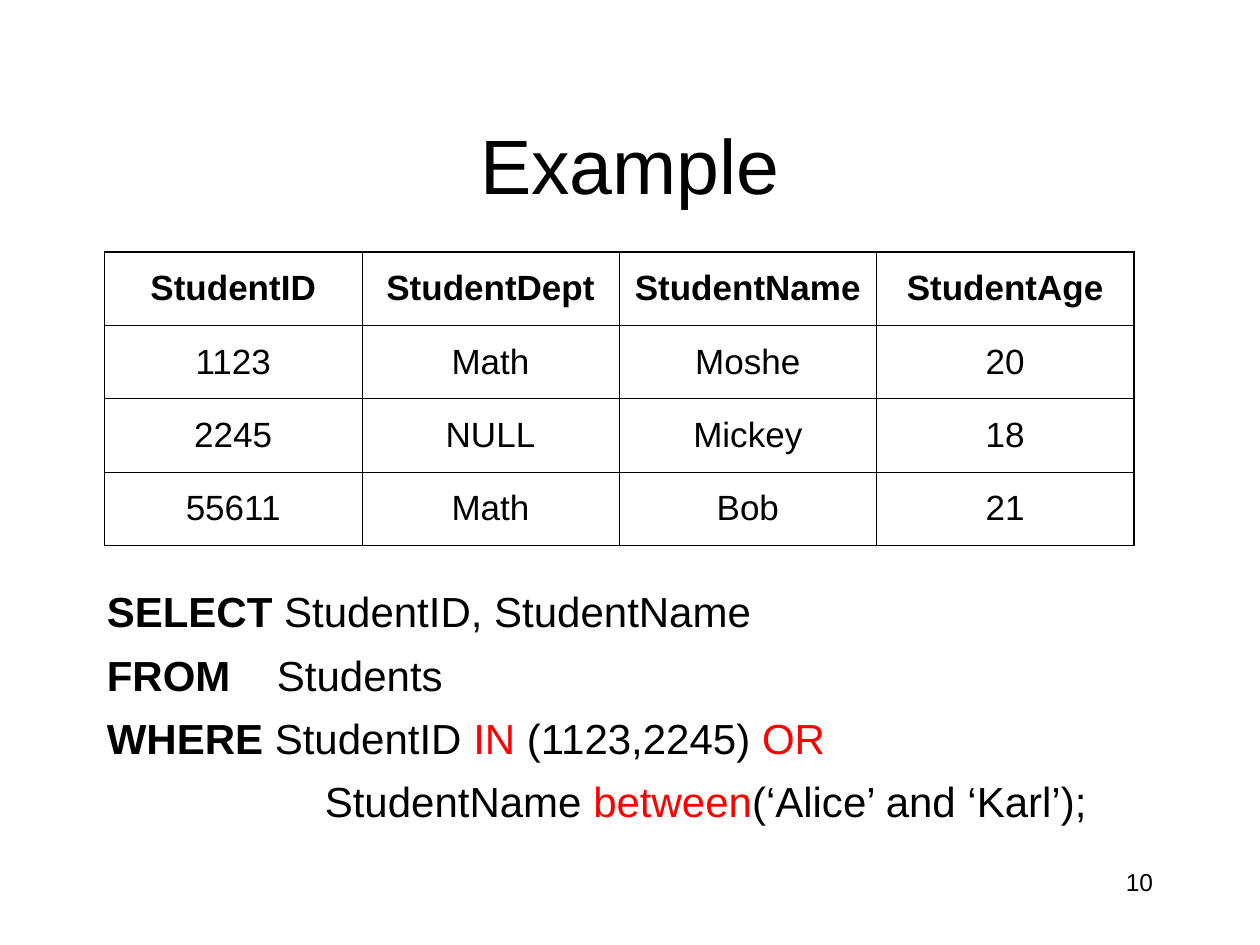
from lxml import etree
from pptx import Presentation
from pptx.dml.color import RGBColor
from pptx.enum.text import MSO_ANCHOR, PP_ALIGN
from pptx.oxml.ns import qn
from pptx.util import Inches, Pt

LEFT, CENTER, RIGHT = PP_ALIGN.LEFT, PP_ALIGN.CENTER, PP_ALIGN.RIGHT
TOP, MIDDLE = MSO_ANCHOR.TOP, MSO_ANCHOR.MIDDLE
BLACK, RED = "000000", "FF0000"
THIN, THICK = 0.45, 1.08


def color(value):
    return RGBColor.from_string(value)


def add_run(paragraph, text, size, bold=False, shade=BLACK):
    run = paragraph.add_run()
    run.text = text
    font_format = {"name": "Arial", "size": Pt(size), "bold": bold}
    for name, value in font_format.items():
        setattr(run.font, name, value)
    run.font.color.rgb = color(shade)


presentation = Presentation()
presentation.slide_width, presentation.slide_height = Inches(10), Inches(7.5)
slide = presentation.slides.add_slide(presentation.slide_layouts[6])

# Text boxes: place, anchor, and paragraphs of (text, bold, colour) runs
boxes = [
    ((7.17, 6.83, 2.08, 0.5), TOP, RIGHT, 14, [[("10", False, BLACK)]]),
    ((0.75, 0.67, 8.5, 1.25), MIDDLE, CENTER, 44, [[("Example", False, BLACK)]]),
    ((0.75, 4.6, 8.5, 2.07), TOP, LEFT, 24, [
        [("SELECT", True, BLACK), (" StudentID, StudentName", False, BLACK)],
        [("FROM", True, BLACK), ("\tStudents", False, BLACK)],
        [("WHERE", True, BLACK), (" StudentID ", False, BLACK), ("IN", False, RED),
         (" (1123,2245) ", False, BLACK), ("OR", False, RED)],
        [("StudentName ", False, BLACK), ("between", False, RED),
         ("(‘Alice’ and ‘Karl’);", False, BLACK)],
    ]),
]
for place, anchor, alignment, size, lines in boxes:
    frame = slide.shapes.add_textbox(*map(Inches, place)).text_frame
    frame.word_wrap = True
    frame.vertical_anchor = anchor
    for index, line in enumerate(lines):
        paragraph = frame.add_paragraph() if index else frame.paragraphs[0]
        paragraph.alignment = alignment
        if index:
            paragraph.space_before = Pt(7.4)
        properties = paragraph._p.get_or_add_pPr()
        # The table name lines up on a tab; the second condition is indented
        if line[-1][0].startswith("\t"):
            tabs = etree.SubElement(properties, qn("a:tabLst"))
            etree.SubElement(tabs, qn("a:tab"), pos=str(Inches(1.35)), algn="l")
        if index == 3:
            properties.set("marL", str(Inches(1.73)))
        for text, bold, shade in line:
            add_run(paragraph, text, size, bold, shade)

# Students table
rows = [
    ["StudentID", "StudentDept", "StudentName", "StudentAge"],
    ["1123", "Math", "Moshe", "20"],
    ["2245", "NULL", "Mickey", "18"],
    ["55611", "Math", "Bob", "21"],
]
last_row, last_column = len(rows) - 1, len(rows[0]) - 1
table = slide.shapes.add_table(len(rows), len(rows[0]), Inches(0.83), Inches(2),
                               Inches(8.17), Inches(2.33)).table
table.first_row = table.horz_banding = False
for row, values in enumerate(rows):
    for column, value in enumerate(values):
        cell = table.cell(row, column)
        cell.vertical_anchor = MIDDLE
        paragraph = cell.text_frame.paragraphs[0]
        paragraph.alignment = CENTER
        add_run(paragraph, value, 20, bold=row == 0)

        # Thick outer frame, thin inner lines
        outer_sides = {"L": column == 0, "R": column == last_column,
                       "T": row == 0, "B": row == last_row}
        properties = cell._tc.get_or_add_tcPr()
        for side, outer in outer_sides.items():
            border = etree.SubElement(properties, qn(f"a:ln{side}"),
                                      w=str(Pt(THICK if outer else THIN)))
            fill = etree.SubElement(border, qn("a:solidFill"))
            etree.SubElement(fill, qn("a:srgbClr"), val=BLACK)
        cell.fill.background()

presentation.save("out.pptx")
